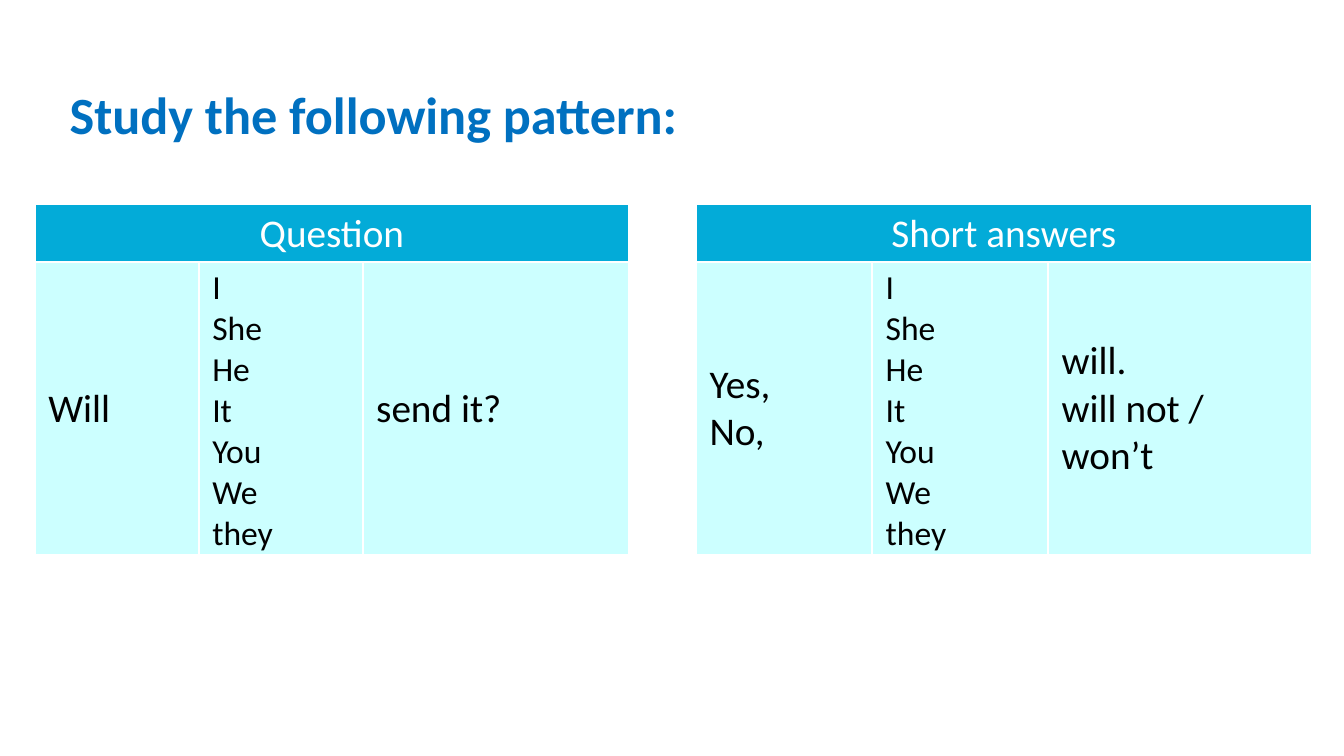
import pptx
import pptx.util
import pptx.dml.color
import pptx.enum.text
import pptx.oxml
import pptx.oxml.ns

TITLE = "Study the following pattern:"
PRONOUNS = ["I", "She", "He", "It", "You", "We", "they"]
TABLES = [
    {"left": 0.26, "widths": [1.22, 1.22, 1.98], "heading": "Question",
     "columns": [["Will"], PRONOUNS, ["send it?"]]},
    {"left": 5.18, "widths": [1.31, 1.31, 1.96], "heading": "Short answers",
     "columns": [["Yes,", "No,"], PRONOUNS, ["will.", "will not / won’t"]]},
]
SLIDE_WIDTH = 10
SLIDE_HEIGHT = SLIDE_WIDTH * 9 / 16
TABLE_TOP, ROW_HEIGHTS = 1.52, [0.42, 2.17]
HEADING_FILL, BODY_FILL = "03ABD8", "CCFFFF"
WHITE, BLACK, BLUE = "FFFFFF", "000000", "0070C0"
BODY_SIZE, PRONOUN_SIZE = 21, 18

inches = pptx.util.Inches
anchors = pptx.enum.text.MSO_ANCHOR
center = pptx.enum.text.PP_ALIGN.CENTER


def color(value):
    return pptx.dml.color.RGBColor.from_string(value)


def write(frame, lines, size, ink, bold=False, align=None):
    for index, line in enumerate(lines):
        para = frame.add_paragraph() if index else frame.paragraphs[0]
        para.text = line
        para.alignment = align
        para.font.name = "Calibri"
        para.font.size = pptx.util.Pt(size)
        para.font.bold = bold
        para.font.color.rgb = color(ink)


def style_cell(cell, fill):
    """Fill the cell, set its margins and give it thin white borders."""
    cell.margin_left = cell.margin_right = inches(0.1)
    cell.margin_top = cell.margin_bottom = inches(0.04)
    properties = cell._tc.get_or_add_tcPr()
    for side in "LRTB":
        properties.append(pptx.oxml.parse_xml(
            f'<a:ln{side} {pptx.oxml.ns.nsdecls("a")} w="{pptx.util.Pt(1)}">'
            f'<a:solidFill><a:srgbClr val="{WHITE}"/></a:solidFill></a:ln{side}>'))
    cell.fill.solid()
    cell.fill.fore_color.rgb = color(fill)


def add_pattern(page, left, widths, heading, columns):
    table = page.shapes.add_table(
        len(ROW_HEIGHTS), len(widths), inches(left), inches(TABLE_TOP),
        inches(sum(widths)), inches(sum(ROW_HEIGHTS))).table
    for column, width in zip(table.columns, widths):
        column.width = inches(width)
    for row, height in zip(table.rows, ROW_HEIGHTS):
        row.height = inches(height)

    table.cell(0, 0).merge(table.cell(0, len(widths) - 1))
    for index, lines in enumerate(columns):
        style_cell(table.cell(0, index), HEADING_FILL)
        cell = table.cell(1, index)
        style_cell(cell, BODY_FILL)
        is_list = lines is PRONOUNS
        cell.vertical_anchor = anchors.TOP if is_list else anchors.MIDDLE
        write(cell.text_frame, lines, PRONOUN_SIZE if is_list else BODY_SIZE, BLACK)
    write(table.cell(0, 0).text_frame, [heading], BODY_SIZE, WHITE, align=center)


deck = pptx.Presentation()
deck.slide_width, deck.slide_height = inches(SLIDE_WIDTH), inches(SLIDE_HEIGHT)
page = deck.slides.add_slide(deck.slide_layouts[6])

title = page.shapes.add_textbox(inches(0.42), inches(0.56), inches(5), inches(0.57))
title.text_frame.word_wrap = True
write(title.text_frame, [TITLE], 28, BLUE, bold=True)

for pattern in TABLES:
    add_pattern(page, **pattern)

deck.save("out.pptx")
